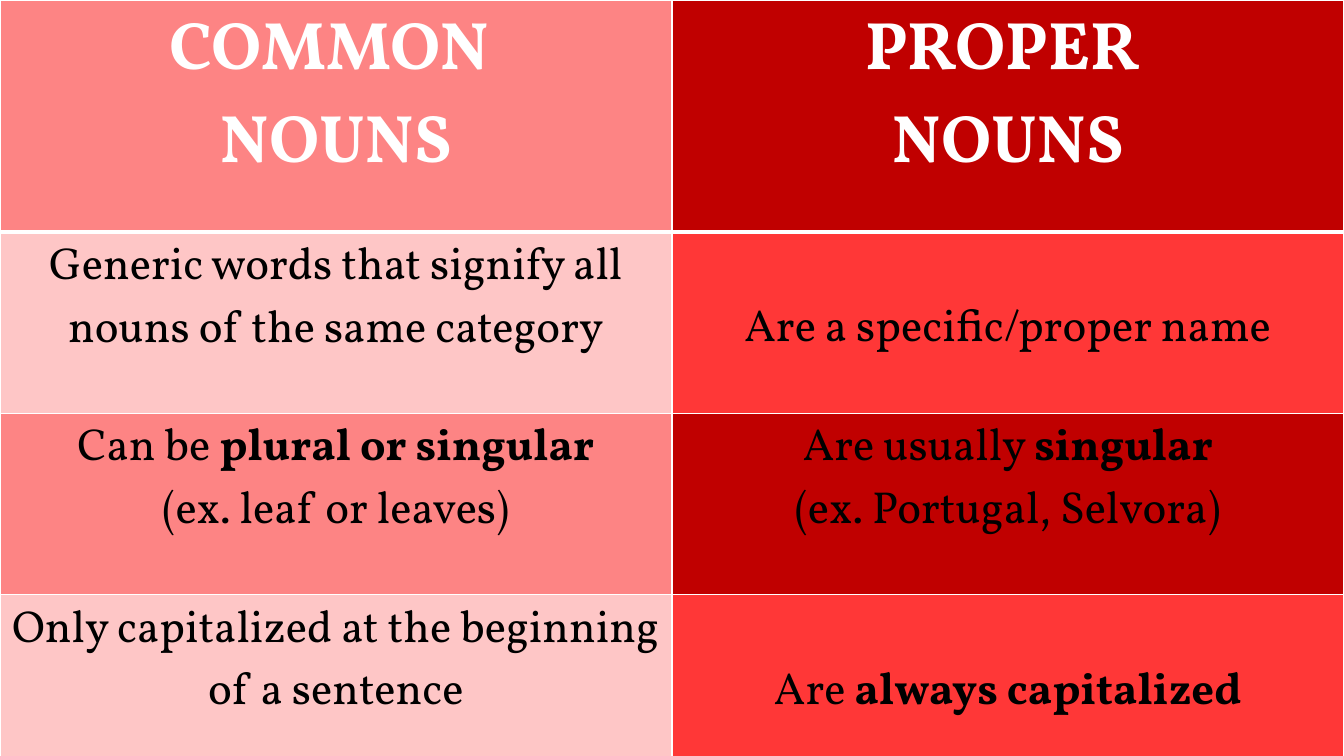
from lxml.etree import SubElement
from pptx import Presentation
from pptx.dml.color import RGBColor
from pptx.enum.text import PP_ALIGN as Align
from pptx.oxml.ns import qn
from pptx.util import Pt

WHITE = RGBColor(0xFF, 0xFF, 0xFF)
BLACK = RGBColor(0, 0, 0)
GREY = RGBColor(0xE7, 0xE6, 0xE6)
PINK = RGBColor(0xFD, 0x84, 0x84)
PALE_PINK = RGBColor(0xFE, 0xC6, 0xC6)
DARK_RED = RGBColor(0xC0, 0, 0)
RED = RGBColor(0xFF, 0x37, 0x37)

PAGE_BOX = (0, 0, 960, 540)
HEADER_HEIGHT, ROW_HEIGHT = 165.6, 129.6
TOP_MARGIN, LINE_HEIGHT = 3.6, 44.6
BANDS = [(PINK, DARK_RED), (PALE_PINK, RED)]
HEADER_FONT = {"name": "Vollkorn", "size": Pt(48), "bold": True}
BODY_FONT = {"name": "Vollkorn", "size": Pt(32), "bold": False}

ROWS = [
    [[["COMMON "], ["NOUNS"]], [["PROPER "], ["NOUNS"]]],
    [[["Generic words that signify all nouns of the same category"]],
     [["Are a specific/proper name"]]],
    [[["Can be ", "plural or singular"], ["(ex. leaf or leaves)"]],
     [["Are usually ", "singular"], ["(ex. Portugal, Selvora)"]]],
    [[["Only capitalized at the beginning of a sentence"]],
     [["Are ", "always capitalized"]]],
]


def set_borders(cell, widths):
    """Draw white cell borders of the given widths, keyed by side."""
    properties = cell._tc.get_or_add_tcPr()
    for position, (side, width) in enumerate(widths.items()):
        line = SubElement(properties, qn(f"a:ln{side}"), w=str(Pt(width)))
        fill = SubElement(line, qn("a:solidFill"))
        SubElement(fill, qn("a:srgbClr"), val=str(WHITE))
        properties.insert(position, line)


def write_cell(cell, lines, font, color):
    """Write centred lines, with the second span of a line in bold."""
    frame = cell.text_frame
    for index, spans in enumerate(lines):
        para = frame.paragraphs[0] if index == 0 else frame.add_paragraph()
        para.alignment = Align.CENTER
        for position, text in enumerate(spans):
            span = para.add_run()
            span.text = text
            for name, value in font.items():
                setattr(span.font, name, value)
            span.font.color.rgb = color
            if position == 1:
                span.font.bold = True


def add_noun_table(page, box):
    """Fill the box with the comparison of common and proper nouns."""
    left, top, width, height = box
    table = page.shapes.add_table(
        len(ROWS), 2, Pt(left), Pt(top), Pt(width), Pt(height)).table
    table.horz_banding = False
    for column in table.columns:
        column.width = Pt(width / 2)
    for row_index, row in enumerate(ROWS):
        is_header = row_index == 0
        table.rows[row_index].height = Pt(HEADER_HEIGHT if is_header else ROW_HEIGHT)
        font, color = (HEADER_FONT, WHITE) if is_header else (BODY_FONT, BLACK)
        borders = {"L": 1, "R": 1, "T": 3 if row_index == 1 else 1,
                   "B": 3 if is_header else 1}
        for column_index, lines in enumerate(row):
            cell = table.cell(row_index, column_index)
            cell.fill.solid()
            cell.fill.fore_color.rgb = BANDS[row_index % 2][column_index]
            set_borders(cell, borders)
            write_cell(cell, lines, font, color)
            if column_index == 1 and len(lines) == 1:
                cell.margin_top = Pt(TOP_MARGIN + LINE_HEIGHT)


def main():
    """Build and save the deck."""
    deck = Presentation()
    deck.slide_width, deck.slide_height = Pt(PAGE_BOX[2]), Pt(PAGE_BOX[3])
    page = deck.slides.add_slide(deck.slide_layouts[6])
    page.background.fill.solid()
    page.background.fill.fore_color.rgb = GREY
    add_noun_table(page, PAGE_BOX)
    deck.save("out.pptx")


if __name__ == "__main__":
    main()
